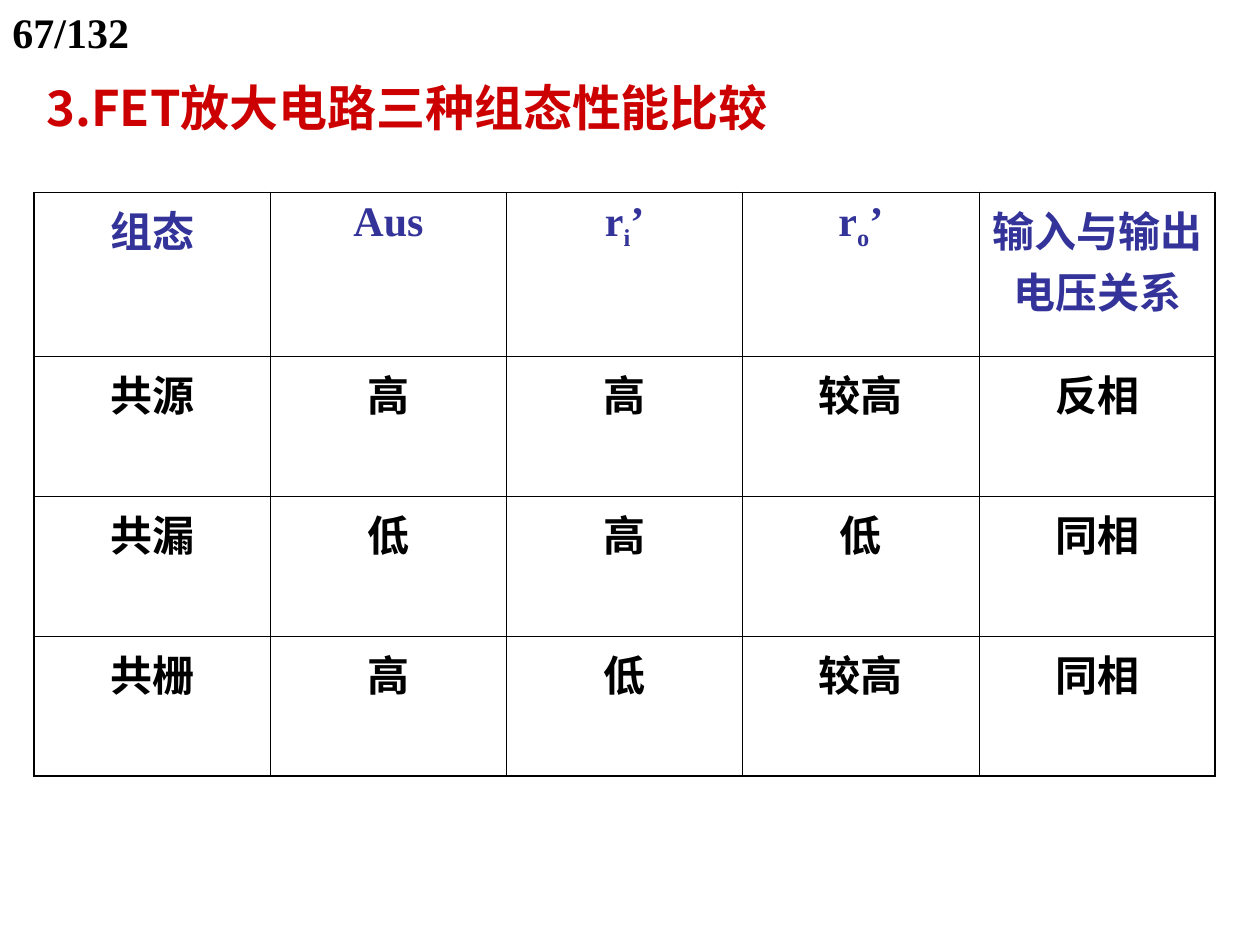
from dataclasses import dataclass

from lxml.etree import SubElement
from pptx import Presentation
from pptx.dml.color import RGBColor
from pptx.enum.text import MSO_ANCHOR, PP_ALIGN
from pptx.oxml.ns import qn
from pptx.util import Pt


@dataclass(frozen=True)
class Theme:
    black: str = "000000"
    title_red: str = "CC0000"
    header_blue: str = "333399"
    latin_font: str = "Times New Roman"
    chinese_font: str = "Noto Sans CJK SC"
    body_size: float = 24
    title_size: float = 28
    inner_line: float = 0.45
    outer_line: float = 1.08


class SlideBuilder:
    def __init__(self, slide, theme):
        self.slide = slide
        self.theme = theme

    def format_run(self, run, size, color, latin_font):
        font = run.font
        font.size = Pt(size)
        font.bold = True
        font.name = latin_font
        font.color.rgb = RGBColor.from_string(color)
        east_asian = SubElement(run._r.get_or_add_rPr(), qn("a:ea"))
        east_asian.set("typeface", self.theme.chinese_font)

    def add_text(self, text, box, size, color, font, space_before, anchor=MSO_ANCHOR.TOP):
        shape = self.slide.shapes.add_textbox(*map(Pt, box))
        text_frame = shape.text_frame
        text_frame.word_wrap = True
        text_frame.vertical_anchor = anchor
        text_frame.text = text
        paragraph = text_frame.paragraphs[0]
        paragraph.space_before = Pt(space_before)
        self.format_run(paragraph.runs[0], size, color, font)

    def add_table(self, rows, left, top, width, row_heights):
        row_count, column_count = len(rows), len(rows[0])
        frame = self.slide.shapes.add_table(
            row_count, column_count, Pt(left), Pt(top), Pt(width), Pt(sum(row_heights)))
        table = frame.table
        table.first_row = table.horz_banding = False
        for column in table.columns:
            column.width = Pt(width / column_count)
        for r, (row, height) in enumerate(zip(rows, row_heights)):
            table.rows[r].height = Pt(height)
            color = self.theme.black if r else self.theme.header_blue
            for c, content in enumerate(row):
                cell = table.cell(r, c)
                self.fill_cell(cell, content, color)
                outer_edges = {"lnL": c == 0, "lnR": c == column_count - 1,
                               "lnT": r == 0, "lnB": r == row_count - 1}
                self.add_borders(cell, outer_edges)
                cell.fill.background()

    def fill_cell(self, cell, content, color):
        """Write a string, or a (base, subscript, suffix) tuple, into a cell."""
        paragraph = cell.text_frame.paragraphs[0]
        paragraph.alignment = PP_ALIGN.CENTER
        paragraph.space_before = Pt(6)
        parts = content if isinstance(content, tuple) else (content,)
        for index, part in enumerate(parts):
            run = paragraph.add_run()
            run.text = part
            self.format_run(run, self.theme.body_size, color, self.theme.latin_font)
            if index == 1:
                run._r.get_or_add_rPr().set("baseline", "-25000")

    def add_borders(self, cell, outer_edges):
        properties = cell._tc.get_or_add_tcPr()
        for edge, is_outer in outer_edges.items():
            width = self.theme.outer_line if is_outer else self.theme.inner_line
            line = SubElement(properties, qn(f"a:{edge}"), w=str(int(Pt(width))))
            fill = SubElement(line, qn("a:solidFill"))
            SubElement(fill, qn("a:srgbClr"), val=self.theme.black)


def main():
    theme = Theme()
    presentation = Presentation()
    presentation.slide_width, presentation.slide_height = Pt(720), Pt(540)
    slide = presentation.slides.add_slide(presentation.slide_layouts[6])
    builder = SlideBuilder(slide, theme)

    builder.add_text("67/132", (0, 0, 113, 65), theme.body_size, theme.black,
                     theme.latin_font, space_before=15)
    builder.add_text("3.FET放大电路三种组态性能比较", (19.5, 40.5, 492, 41),
                     theme.title_size, theme.title_red, theme.chinese_font,
                     space_before=17.5, anchor=MSO_ANCHOR.MIDDLE)
    rows = [
        ("组态", "Aus", ("r", "i", "’"), ("r", "o", "’"), "输入与输出电压关系"),
        ("共源", "高", "高", "较高", "反相"),
        ("共漏", "低", "高", "低", "同相"),
        ("共栅", "高", "低", "较高", "同相"),
    ]
    builder.add_table(rows, left=19.5, top=110, width=675, row_heights=(93.6, 80, 80, 80))
    presentation.save("out.pptx")


if __name__ == "__main__":
    main()
